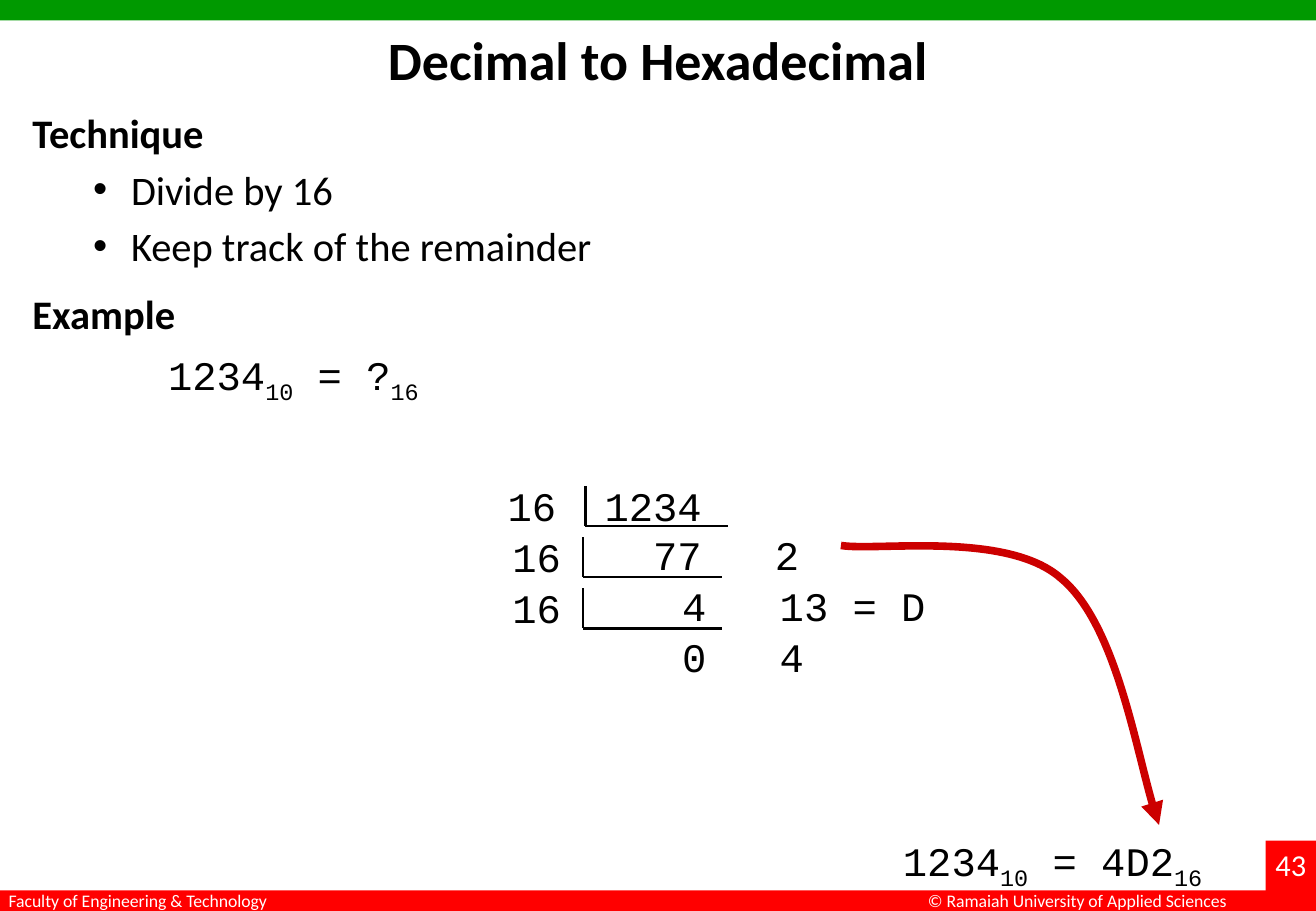
import pptx
import pptx.dml.color
import pptx.enum.shapes
import pptx.enum.text
import pptx.oxml
import pptx.oxml.ns
import pptx.util

Cm, Pt = pptx.util.Cm, pptx.util.Pt
ALIGN = pptx.enum.text.PP_ALIGN
ANCHOR = pptx.enum.text.MSO_ANCHOR
SLIDE_W, SLIDE_H = 27.51, 19.05
BAR_H = 0.43
COLORS = {"green": "009900", "red": "FF0000", "arrow": "CC0000",
          "text": "000000", "white": "FFFFFF"}
SANS, MONO = "Calibri", "Courier New"


def rgb(name):
    return pptx.dml.color.RGBColor.from_string(COLORS[name])


def add_child(parent, tag, **attrs):
    child = pptx.oxml.ns.qn(tag)
    el = parent.makeelement(child, attrs)
    parent.append(el)
    return el


def add_run(p, text, size=24, font=SANS, color="text", bold=False, subscript=False):
    r = p.add_run()
    r.text = text
    r.font.size = Pt(size)
    r.font.name = font
    r.font.bold = bold
    r.font.color.rgb = rgb(color)
    if subscript:
        r.font._element.set("baseline", "-25000")


def add_text_box(s, box, inset=(0.25, 0.13), anchor=ANCHOR.TOP):
    """Return the text frame of a wrapped text box."""
    tf = s.shapes.add_textbox(*map(Cm, box)).text_frame
    tf.word_wrap = True
    tf.vertical_anchor = anchor
    tf.margin_left = tf.margin_right = Cm(inset[0])
    tf.margin_top = tf.margin_bottom = Cm(inset[1])
    return tf


def add_block(s, box, color):
    sp = s.shapes.add_shape(pptx.enum.shapes.MSO_SHAPE.RECTANGLE, *map(Cm, box))
    sp.shadow.inherit = False
    sp.fill.solid()
    sp.fill.fore_color.rgb = rgb(color)
    sp.line.fill.background()
    return sp


def add_line(s, x1, y1, x2, y2):
    cx = s.shapes.add_connector(pptx.enum.shapes.MSO_CONNECTOR.STRAIGHT,
                                Cm(x1), Cm(y1), Cm(x2), Cm(y2))
    cx.line.color.rgb = rgb("text")
    cx.line.width = Pt(1.5)
    add_child(cx._element.spPr, "a:effectLst")


def add_frame(s, box, number):
    """Top bar, footer strip with its two texts, and the page number."""
    x, y, w, h = box
    strip_y = y + h - BAR_H
    add_block(s, (x, y, w, BAR_H), "green")
    add_block(s, (x, strip_y, w, BAR_H), "red")
    for dx, text in ((0.18, "Faculty of Engineering & Technology"),
                     (19.4, "© Ramaiah University of Applied Sciences")):
        tf = add_text_box(s, (x + dx, strip_y, 7, BAR_H), (0, 0), ANCHOR.MIDDLE)
        add_run(tf.paragraphs[0], text, 10.5, color="white")
    tf = add_block(s, (x + w - 1.05, y + h - 1.47, 1.05, 1.47), "red").text_frame
    tf.vertical_anchor = ANCHOR.TOP
    tf.margin_left = tf.margin_right = 0
    p = tf.paragraphs[0]
    p.alignment = ALIGN.CENTER
    add_run(p, number, 18, color="white")


def add_title(s, box, text):
    sp = s.shapes.title
    sp.left, sp.top, sp.width, sp.height = map(Cm, box)
    tf = sp.text_frame
    tf.vertical_anchor = ANCHOR.TOP
    p = tf.paragraphs[0]
    p.alignment = ALIGN.CENTER
    add_run(p, text, 32, bold=True)


def add_section(s, box, heading, bullets=()):
    tf = add_text_box(s, box)
    add_run(tf.paragraphs[0], heading, bold=True)
    for text in bullets:
        p = tf.add_paragraph()
        p.level = 1
        pPr = p._p.get_or_add_pPr()
        pPr.set("marL", str(Cm(2.06)))
        pPr.set("indent", str(Cm(-0.79)))
        add_child(pPr, "a:buFont", typeface="Arial")
        add_child(pPr, "a:buChar", char="•")
        p.space_before = Pt(4.8)
        add_run(p, text)


def add_equation(s, box, right, base):
    """Write 1234 in base 10 as equal to the right side in the given base."""
    p = add_text_box(s, box).paragraphs[0]
    p.alignment = ALIGN.CENTER
    for text, subscript in (("1234", False), ("10", True),
                            (f" = {right}", False), (base, True)):
        add_run(p, text, font=MONO, subscript=subscript)


def add_division(s, box):
    """Repeated division: divisor, dividend and remainder on shared tab stops."""
    x, y, w, h = box
    pitch, gap = 1.07, 0.23
    steps = [
        (0, 1.88, 2.97, ("16\t1234", "\t77\t2")),
        (0.1, 1.83, 2.9, ("16", "\t4\t13 = D")),
        (0.1, 1.83, 2.9, ("16", "\t0\t4")),
    ]
    for i, (dx, rule_dx, rule_w, lines) in enumerate(steps):
        top = y + i * pitch
        tf = add_text_box(s, (x + dx, top, w - dx, h - 2 * pitch))
        for j, text in enumerate(lines):
            p = tf.add_paragraph() if j else tf.paragraphs[0]
            tabs = add_child(p._p.get_or_add_pPr(), "a:tabLst")
            add_child(tabs, "a:tab", pos=str(Cm(4.06)), algn="r")
            add_child(tabs, "a:tab", pos=str(Cm(5.59)), algn="l")
            add_run(p, text, font=MONO)
        rule_x, bottom = x + rule_dx, top + pitch
        add_line(s, rule_x, top + gap, rule_x, bottom)
        add_line(s, rule_x, bottom, rule_x + rule_w, bottom)


def add_curved_arrow(s, box):
    """Two Bezier curves from the first remainder down to the result."""
    x, y, w, h = box
    start, *controls = [(Cm(x + w * u), Cm(y + h * v)) for u, v in (
        (0, 0.05), (0.11, 0.07), (0.52, 0), (0.69, 0.16),
        (0.86, 0.31), (0.94, 0.82), (1, 1))]
    fb = s.shapes.build_freeform(*start)
    fb.add_line_segments(controls, close=False)
    sp = fb.convert_to_shape()
    sp.shadow.inherit = False
    sp.fill.background()
    sp.line.color.rgb = rgb("arrow")
    sp.line.width = Pt(4.5)
    path = sp._element.spPr.find(".//" + pptx.oxml.ns.qn("a:path"))
    segments = path.findall(pptx.oxml.ns.qn("a:lnTo"))
    for i in range(0, len(segments), 3):
        curve = add_child(path, "a:cubicBezTo")
        for segment in segments[i:i + 3]:
            curve.append(segment[0])
            path.remove(segment)
    add_child(sp.line._get_or_add_ln(), "a:tailEnd", type="triangle")


def main():
    prs = pptx.Presentation()
    prs.slide_width, prs.slide_height = Cm(SLIDE_W), Cm(SLIDE_H)
    s = prs.slides.add_slide(prs.slide_layouts[5])
    add_frame(s, (0, 0, SLIDE_W, SLIDE_H), "43")
    add_title(s, (1.37, 0.43, 24.77, 3.18), "Decimal to Hexadecimal")
    add_section(s, (0.43, 2.13, 21.59, 3.8), "Technique",
                ("Divide by 16", "Keep track of the remainder"))
    add_section(s, (0.43, 5.92, 4, 1.27), "Example")
    add_equation(s, (2.11, 7.19, 8.05, 1.27), "?", "16")
    add_equation(s, (17.98, 17.35, 8.05, 1.27), "4D2", "16")
    add_curved_arrow(s, (17.58, 11.1, 6.65, 6.15))
    add_division(s, (10.36, 9.93, 9.96, 4.43))
    prs.save("out.pptx")


if __name__ == "__main__":
    main()
